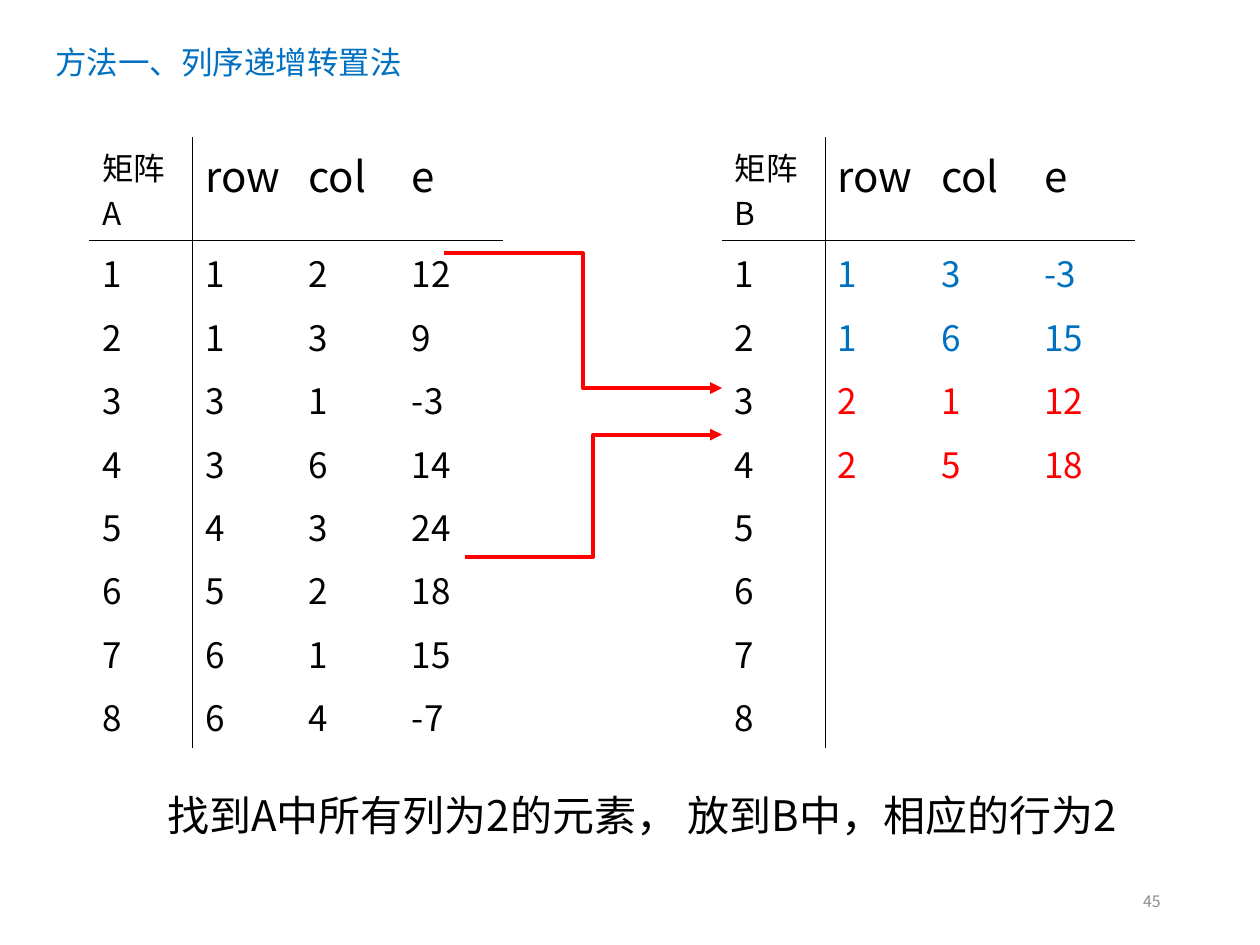
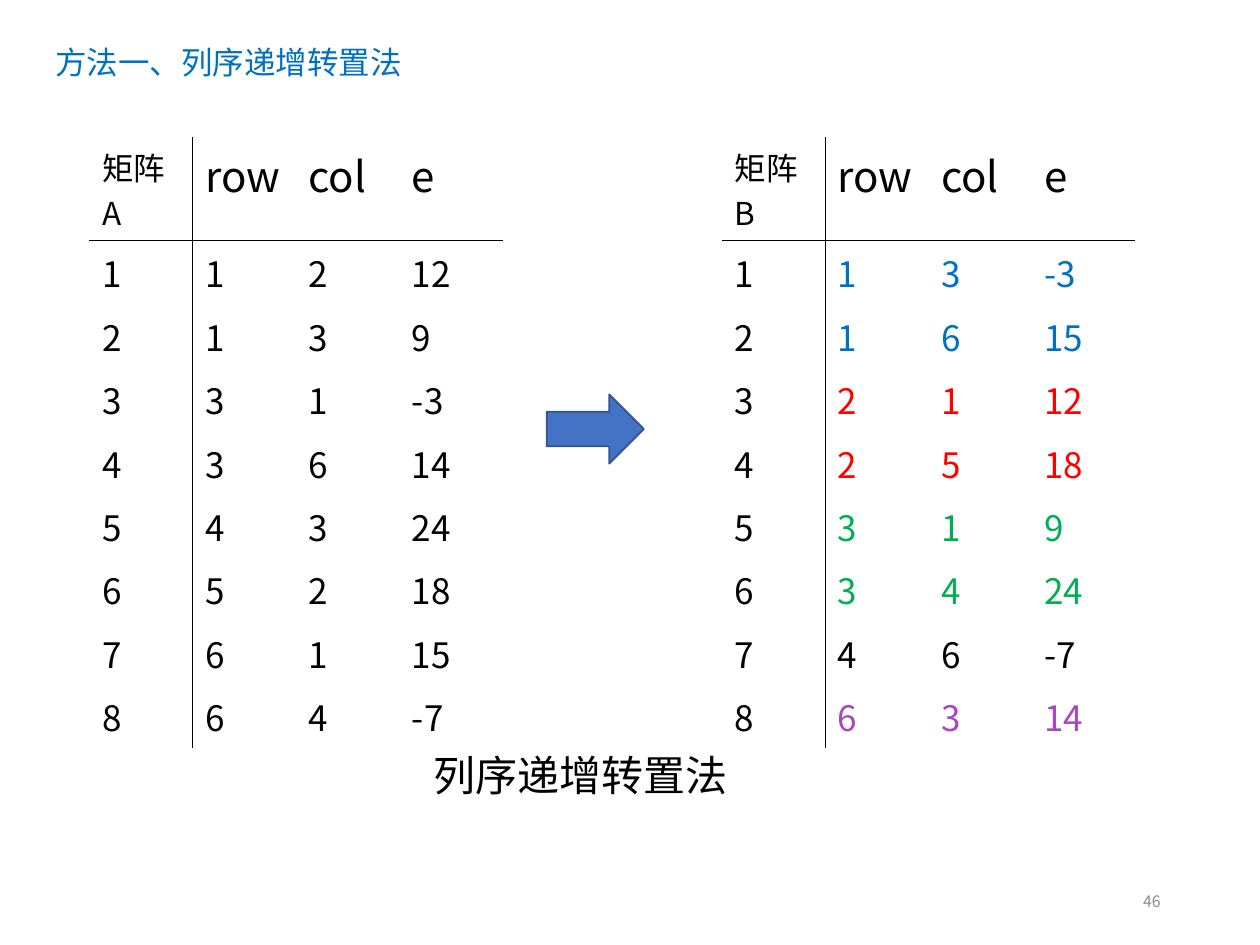
from lxml import etree
from pptx import Presentation
from pptx.dml.color import RGBColor
from pptx.enum.shapes import MSO_CONNECTOR, MSO_SHAPE
from pptx.enum.text import MSO_ANCHOR, MSO_AUTO_SIZE, PP_ALIGN
from pptx.oxml.ns import qn
from pptx.util import Inches, Pt

ELBOW = MSO_CONNECTOR.ELBOW
ARROW = MSO_SHAPE.RIGHT_ARROW
TOP, MIDDLE = MSO_ANCHOR.TOP, MSO_ANCHOR.MIDDLE
LEFT, RIGHT = PP_ALIGN.LEFT, PP_ALIGN.RIGHT
NONE = MSO_AUTO_SIZE.NONE

FONT = "Noto Sans CJK SC"
PLAIN = "{2D5ABB26-0587-4C30-8999-92F81FD0307C}"  # no style, no grid
HUES = {"black": "000000", "blue": "0070C0", "red": "FF0000",
        "green": "00B050", "purple": "A747C1", "grey": "8C8C8C",
        "arrow": "4472C4", "edge": "325491"}
GROUPS = {1: "blue", 2: "red", 3: "green", 4: "black", 6: "purple"}

HEAD = ("row", "col", "e")
A = [(1, 2, 12), (1, 3, 9), (3, 1, -3), (3, 6, 14),
     (4, 3, 24), (5, 2, 18), (6, 1, 15), (6, 4, -7)]
# Transpose: swap row and col, in order of the old column
B = [(col, row, e) for row, col, e in sorted(A, key=lambda item: item[1])]
TALL, BODY = 0.82, 4.03  # heights of the header row and of all rows below it

# Page number, rows of B filled, caption, caption box
PAGES = [
    ("45", 4, "找到A中所有列为2的元素， 放到B中，相应的行为2", (1.23, 6.22, 7.78, 0.5)),
    ("46", 8, "列序递增转置法", (3.34, 5.9, 2.56, 0.5)),
]
PATHS = [(3.52, 2.01, 5.73, 3.08), (3.69, 4.42, 5.73, 3.45)]


def write(frame, text, size, hue, align=LEFT):
    """Fill a text frame with one paragraph in the shared font."""
    frame.text = text
    frame.word_wrap = True
    par = frame.paragraphs[0]
    par.alignment = align
    for run in par.runs:
        run.font.name = FONT
        run.font.size = Pt(size)
        run.font.color.rgb = RGBColor.from_string(HUES[hue])
        props = run.font._element
        etree.SubElement(props, qn("a:ea"), typeface=FONT)


def rule(cell, side, drawn):
    """Set one side (L, R, T or B) of a cell to a black 1 pt border or none."""
    props = cell._tc.get_or_add_tcPr()
    line = etree.SubElement(props, qn("a:ln" + side), w=str(Pt(1)))
    fill = etree.SubElement(line, qn("a:solidFill" if drawn else "a:noFill"))
    if drawn:
        etree.SubElement(fill, qn("a:srgbClr"), val=HUES["black"])


prs = Presentation()
prs.slide_width, prs.slide_height = Inches(10), Inches(7.5)

for page, filled, caption, area in PAGES:
    slide = prs.slides.add_slide(prs.slide_layouts[5])
    shapes = slide.shapes

    title = shapes.title
    title.left, title.top = Inches(0.34), Inches(0.14)
    title.width, title.height = Inches(5), Inches(0.5)
    write(title.text_frame, "方法一、列序递增转置法", 18, "blue")
    title.text_frame.auto_size = NONE
    title.text_frame.vertical_anchor = TOP
    title.text_frame.paragraphs[0].line_spacing = 1.5

    number = shapes.add_textbox(Inches(7.06), Inches(6.95), Inches(2.25), Inches(0.4))
    write(number.text_frame, page, 9, "grey", RIGHT)
    number.text_frame.vertical_anchor = MIDDLE

    # Triple tables of both matrices
    for name, left, items in (("A", 0.71, A), ("B", 5.73, B[:filled])):
        frame = shapes.add_table(9, 4, Inches(left), Inches(1.09),
                                 Inches(3.28), Inches(TALL + BODY))
        frame.element.find(".//" + qn("a:tableStyleId")).text = PLAIN
        table = frame.table
        table.first_row = table.horz_banding = False
        for i, row in enumerate(table.rows):
            row.height = Inches(BODY / 8 if i else TALL)

        for i in range(9):
            for j in range(4):
                cell = table.cell(i, j)
                size, hue = 20, "black"
                if i == 0:
                    text = HEAD[j - 1] if j else "矩阵" + name
                    size = 24 if j else 18
                elif j == 0:
                    text = str(i)
                elif i <= len(items):
                    text = str(items[i - 1][j - 1])
                    if name == "B":
                        hue = GROUPS[items[i - 1][0]]
                else:
                    text = ""
                write(cell.text_frame, text, size, hue)
                sides = {"L": j == 1, "R": j == 0, "T": i == 1, "B": i == 0}
                for side, drawn in sides.items():
                    rule(cell, side, drawn)
                cell.fill.background()

    if page == "45":
        for ends in PATHS:
            link = shapes.add_connector(ELBOW, *map(Inches, ends))
            link.line.color.rgb = RGBColor.from_string(HUES["red"])
            link.line.width = Pt(2.25)
            props = link.element.spPr
            etree.SubElement(props.find(qn("a:ln")), qn("a:tailEnd"), type="triangle")
            etree.SubElement(props, qn("a:effectLst"))
    else:
        arrow = shapes.add_shape(ARROW, Inches(4.34), Inches(3.13),
                                 Inches(0.77), Inches(0.55))
        arrow.shadow.inherit = False
        arrow.fill.solid()
        arrow.fill.fore_color.rgb = RGBColor.from_string(HUES["arrow"])
        arrow.line.color.rgb = RGBColor.from_string(HUES["edge"])
        arrow.line.width = Pt(1)

    note = shapes.add_textbox(*map(Inches, area))
    write(note.text_frame, caption, 24, "black")

prs.save("out.pptx")
